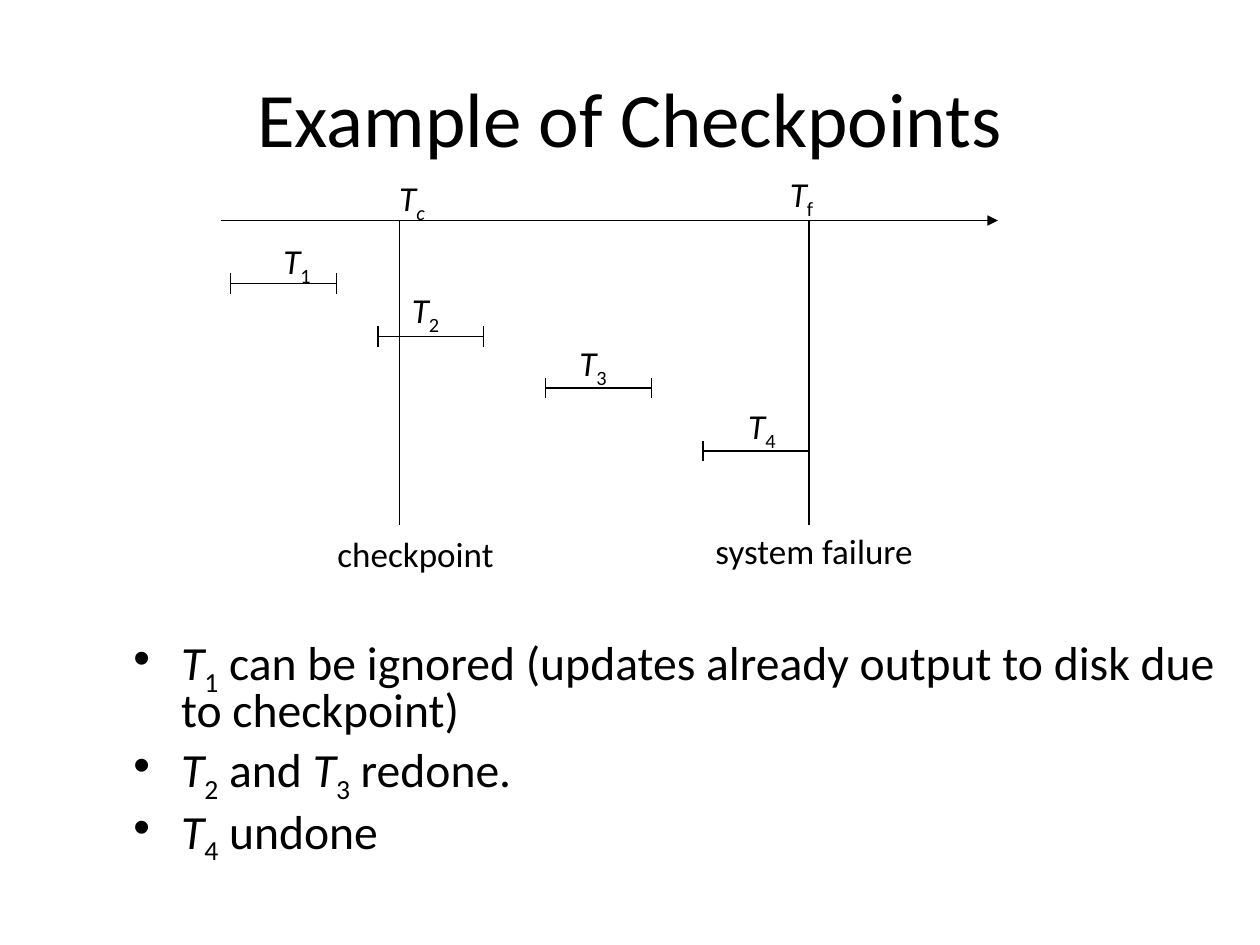
from itertools import cycle

from lxml import etree
from pptx import Presentation
from pptx.dml.color import RGBColor
from pptx.enum.shapes import MSO_CONNECTOR
from pptx.enum.text import MSO_ANCHOR, MSO_AUTO_SIZE, PP_ALIGN
from pptx.oxml.ns import qn
from pptx.util import Inches, Pt

STRAIGHT = MSO_CONNECTOR.STRAIGHT
MIDDLE = MSO_ANCHOR.MIDDLE
CENTER = PP_ALIGN.CENTER
FIT_SHAPE = MSO_AUTO_SIZE.SHAPE_TO_FIT_TEXT
FONT = "Calibri"
COLORS = {"ink": "000000"}

NORMAL, ITALIC, SUBSCRIPT, ITALIC_SUBSCRIPT = (
    (False, False), (True, False), (False, True), (True, True))
TERM = (ITALIC, SUBSCRIPT, NORMAL)

TRANSACTIONS = [
    ("1", 0.08, 0.5, 0.40, 0.10),
    ("2", 1.25, 0.92, 1.42, 0.49),
    ("3", 2.58, 1.33, 2.75, 0.91),
    ("4", 3.83, 1.83, 4.09, 1.41),
]
OUTCOMES = [
    ("T", "1", " can be ignored (updates already output to disk due to checkpoint)"),
    ("T", "2", " and ", "T", "3", " redone."),
    ("T", "4", " undone"),
]


def ink():
    return RGBColor.from_string(COLORS["ink"])


def add_text_frame(slide, left, top, width, height):
    shape = slide.shapes.add_textbox(
        Inches(left), Inches(top), Inches(width), Inches(height))
    shape.text_frame.word_wrap = True
    return shape.text_frame


def set_font(paragraph, size):
    paragraph.font.name = FONT
    paragraph.font.size = Pt(size)
    paragraph.font.color.rgb = ink()


def write_runs(paragraph, pieces, styles):
    for text, (italic, subscript) in zip(pieces, cycle(styles)):
        run = paragraph.add_run()
        run.text = text
        if italic:
            run.font.italic = True
        if subscript:
            run._r.get_or_add_rPr().set("baseline", "-25000")


def add_line(slide, x1, y1, x2, y2, arrow=False):
    line = slide.shapes.add_connector(
        STRAIGHT, Inches(x1), Inches(y1), Inches(x2), Inches(y2))
    line.line.color.rgb = ink()
    line.line.width = Pt(0.75)
    if arrow:
        etree.SubElement(line.line._get_or_add_ln(), qn("a:tailEnd"), type="triangle")
    etree.SubElement(line._element.spPr, qn("a:effectLst"))


def add_label(slide, left, top, width, pieces, styles=TERM):
    frame = add_text_frame(slide, left, top, width, 0.43)
    frame.auto_size = FIT_SHAPE
    paragraph = frame.paragraphs[0]
    set_font(paragraph, 20)
    write_runs(paragraph, pieces, styles)


def add_title(slide, left, top, width, height):
    frame = add_text_frame(slide, left, top, width, height)
    frame.vertical_anchor = MIDDLE
    paragraph = frame.paragraphs[0]
    paragraph.text = "Example of Checkpoints"
    paragraph.alignment = CENTER
    set_font(paragraph, 44)


def add_transaction(slide, left, top, length):
    right = left + length
    add_line(slide, left, top, right, top)
    for x in (left, right):
        add_line(slide, x, top - 0.08, x, top + 0.08)


def add_timeline(slide, left, top, width, height):
    checkpoint, failure = left + 1.42, left + 4.67
    add_line(slide, left, top, left + width, top, arrow=True)
    for x in (checkpoint, failure):
        add_line(slide, x, top, x, top + height)

    add_label(slide, checkpoint - 0.1, top - 0.4, 0.46, ("T", "c"),
              (ITALIC, ITALIC_SUBSCRIPT))
    add_label(slide, failure - 0.25, top - 0.43, 0.42, ("T", "f"))

    for number, start, level, label_left, label_top in TRANSACTIONS:
        add_transaction(slide, left + start, top + level, 0.84)
        add_label(slide, left + label_left, top + label_top, 0.47, ("T", number))

    bottom = top + height
    add_label(slide, checkpoint - 0.59, bottom + 0.01, 1.53, ("checkpoint",), (NORMAL,))
    add_label(slide, failure - 0.84, bottom - 0.02, 1.91, ("system failure",), (NORMAL,))


def add_outcomes(slide, left, top, width, height):
    frame = add_text_frame(slide, left, top, width, height)
    for index, pieces in enumerate(OUTCOMES):
        paragraph = frame.add_paragraph() if index else frame.paragraphs[0]
        properties = paragraph._p.get_or_add_pPr()
        properties.set("marL", str(Inches(0.38)))
        properties.set("indent", str(-Inches(0.38)))
        etree.SubElement(properties, qn("a:buFont"), typeface="Arial")
        etree.SubElement(properties, qn("a:buChar"), char="•")
        paragraph.line_spacing = 0.8
        if index:
            paragraph.space_before = Pt(5.4)
        set_font(paragraph, 27.2)
        write_runs(paragraph, pieces, TERM)


def main():
    presentation = Presentation()
    presentation.slide_width = Inches(10)
    presentation.slide_height = Inches(7.5)
    slide = presentation.slides.add_slide(presentation.slide_layouts[6])
    add_title(slide, 0.5, 0.3, 9, 1.25)
    add_outcomes(slide, 0.96, 5.02, 9.04, 1.83)
    add_timeline(slide, 1.75, 1.75, 6.17, 2.42)
    presentation.save("out.pptx")


if __name__ == "__main__":
    main()
